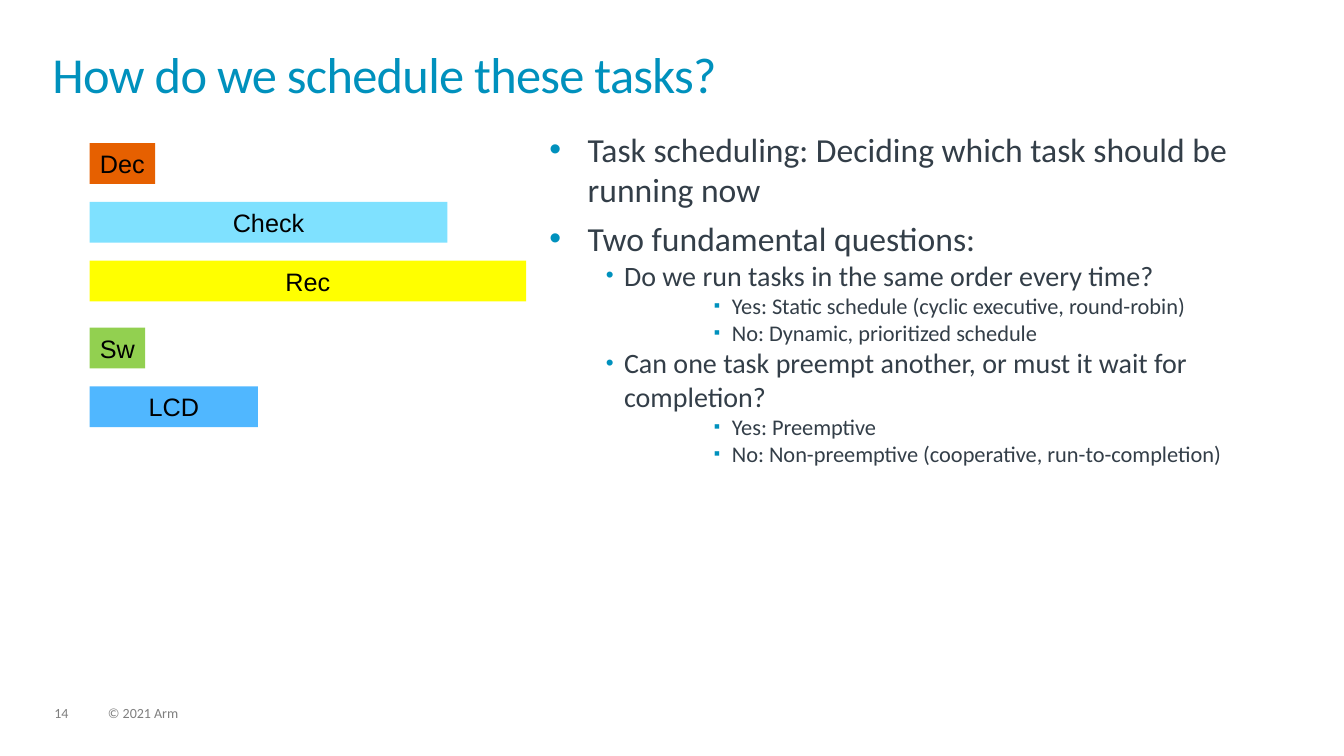
"""Build the slide on scheduling tasks."""
from dataclasses import dataclass

import lxml.etree
import pptx
import pptx.dml.color
import pptx.enum.shapes
import pptx.enum.text
import pptx.oxml.ns
import pptx.util


@dataclass(frozen=True)
class Theme:
    blue: str = "0091BD"
    ink: str = "333E48"
    grey: str = "7F7F7F"
    black: str = "000000"
    sans: str = "Calibri"
    label: str = "Arial"
    title: int = 36
    levels: tuple = (24, 20, 16)
    bar: int = 18
    foot: int = 10


@dataclass(frozen=True)
class Area:
    """Left, top, width and height in percent of the slide."""
    left: float
    top: float
    width: float
    height: float


@dataclass(frozen=True)
class Bar:
    name: str
    width: float
    color: str
    wrap: bool = True


@dataclass(frozen=True)
class Level:
    size: int
    depth: int
    left: float
    hang: float
    sign: str
    scale: int
    before: int


@dataclass(frozen=True)
class Item:
    text: str
    level: Level


THEME = Theme()
WIDTH = pptx.util.Inches(13.33)
HEIGHT = pptx.util.Inches(7.5)

MAIN = Level(THEME.levels[0], 0, 0.38, 0.38, "•", 100, 6)
SUB = Level(THEME.levels[1], 1, 0.74, 0.18, "•", 80, 0)
DEEP = Level(THEME.levels[2], 5, 1.81, 0.18, "▪", 80, 0)

ITEMS = [
    Item("Task scheduling: Deciding which task should be running now", MAIN),
    Item("Two fundamental questions:", MAIN),
    Item("Do we run tasks in the same order every time?", SUB),
    Item("Yes: Static schedule (cyclic executive, round-robin)", DEEP),
    Item("No: Dynamic, prioritized schedule", DEEP),
    Item("Can one task preempt another, or must it wait for completion?", SUB),
    Item("Yes: Preemptive", DEEP),
    Item("No: Non-preemptive (cooperative, run-to-completion)", DEEP),
]

BAR_LEFT, BAR_HIGH, BAR_STEP = 6.67, 5.4, 7.77
GROUPS = [
    (18.93, [Bar("Dec", 4.88, "E66000", False),
             Bar("Check", 26.63, "7FE1FF"),
             Bar("Rec", 32.48, "FFFF00")]),
    (43.33, [Bar("Sw", 4.13, "92D050", False),
             Bar("LCD", 12.53, "50B7FF")]),
]


def place(area: Area) -> tuple[int, int, int, int]:
    """Turn shares of the slide into lengths."""
    return (int(WIDTH * area.left / 100), int(HEIGHT * area.top / 100),
            int(WIDTH * area.width / 100), int(HEIGHT * area.height / 100))


def paint(code: str) -> pptx.dml.color.RGBColor:
    """Give the colour for a hex code."""
    return pptx.dml.color.RGBColor.from_string(code)


def write(para, text: str, *, size: int, color: str, face: str = THEME.sans,
          align=None, line: float | None = None, before: int = 0,
          after: int = 0, track: int = 0) -> None:
    """Write one run of text with its format."""
    para.alignment = align
    para.line_spacing = line
    para.space_before = pptx.util.Pt(before)
    para.space_after = pptx.util.Pt(after)
    run = para.add_run()
    run.text = text
    run.font.size = pptx.util.Pt(size)
    run.font.name = face
    run.font.color.rgb = paint(color)
    if track:
        run.font._element.set("spc", str(track))


def mark(para, level: Level) -> None:
    """Add the bullet and indent of a level."""
    para.level = level.depth
    props = para._p.get_or_add_pPr()
    props.set("marL", str(pptx.util.Inches(level.left)))
    props.set("indent", str(-pptx.util.Inches(level.hang)))

    def add(host, tag: str, **attrs: str):
        return lxml.etree.SubElement(host, pptx.oxml.ns.qn(tag), attrs)

    add(add(props, "a:buClr"), "a:srgbClr", val=THEME.blue)
    add(props, "a:buSzPct", val=str(level.scale * 1000))
    add(props, "a:buFont", typeface=THEME.label)
    add(props, "a:buChar", char=level.sign)


def frame(slide, area: Area):
    """Add a text box with no margins."""
    text = slide.shapes.add_textbox(*place(area)).text_frame
    text.word_wrap = True
    text.margin_left = text.margin_right = 0
    text.margin_top = text.margin_bottom = 0
    return text


def draw_bar(slide, bar: Bar, top: float) -> None:
    """Draw one task as a bar with its name."""
    area = Area(BAR_LEFT, top, bar.width, BAR_HIGH)
    shape = slide.shapes.add_shape(
        pptx.enum.shapes.MSO_SHAPE.RECTANGLE, *place(area))
    shape.shadow.inherit = False
    shape.fill.solid()
    shape.fill.fore_color.rgb = paint(bar.color)
    shape.line.fill.background()
    shape.text_frame.word_wrap = bar.wrap
    write(shape.text_frame.paragraphs[0], bar.name, size=THEME.bar,
          color=THEME.black, face=THEME.label,
          align=pptx.enum.text.PP_ALIGN.CENTER)


def draw_list(slide, area: Area, items: list[Item]) -> None:
    """Draw the bullet list."""
    text = frame(slide, area)
    for rank, item in enumerate(items):
        para = text.add_paragraph() if rank else text.paragraphs[0]
        mark(para, item.level)
        write(para, item.text, size=item.level.size, color=THEME.ink,
              before=item.level.before if rank else 0)


def main() -> None:
    """Build and save the slide."""
    deck = pptx.Presentation()
    deck.slide_width, deck.slide_height = WIDTH, HEIGHT
    slide = deck.slides.add_slide(deck.slide_layouts[6])

    for text, left, width in (("14", 4.05, 2.55), ("© 2021 Arm", 8.03, 38.03)):
        foot = frame(slide, Area(left, 93.47, width, 2))
        write(foot.paragraphs[0], text, size=THEME.foot, color=THEME.grey,
              line=0.9, after=6)

    title = frame(slide, Area(3.9, 6.93, 92.12, 9.6))
    write(title.paragraphs[0], "How do we schedule these tasks?",
          size=THEME.title, color=THEME.blue, line=0.85, track=-50)
    draw_list(slide, Area(40.88, 17.07, 55.21, 72.13), ITEMS)

    for top, bars in GROUPS:
        for row, bar in enumerate(bars):
            draw_bar(slide, bar, top + row * BAR_STEP)

    deck.save("out.pptx")


if __name__ == "__main__":
    main()
